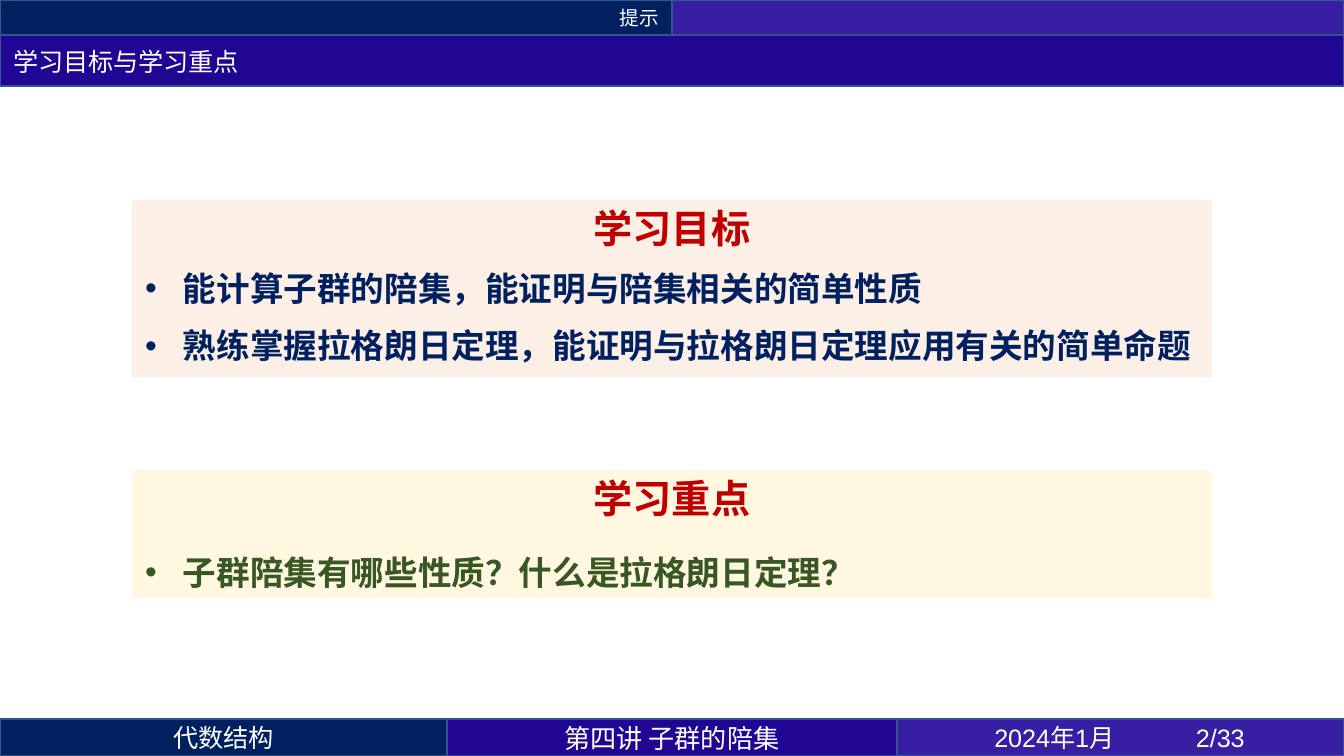
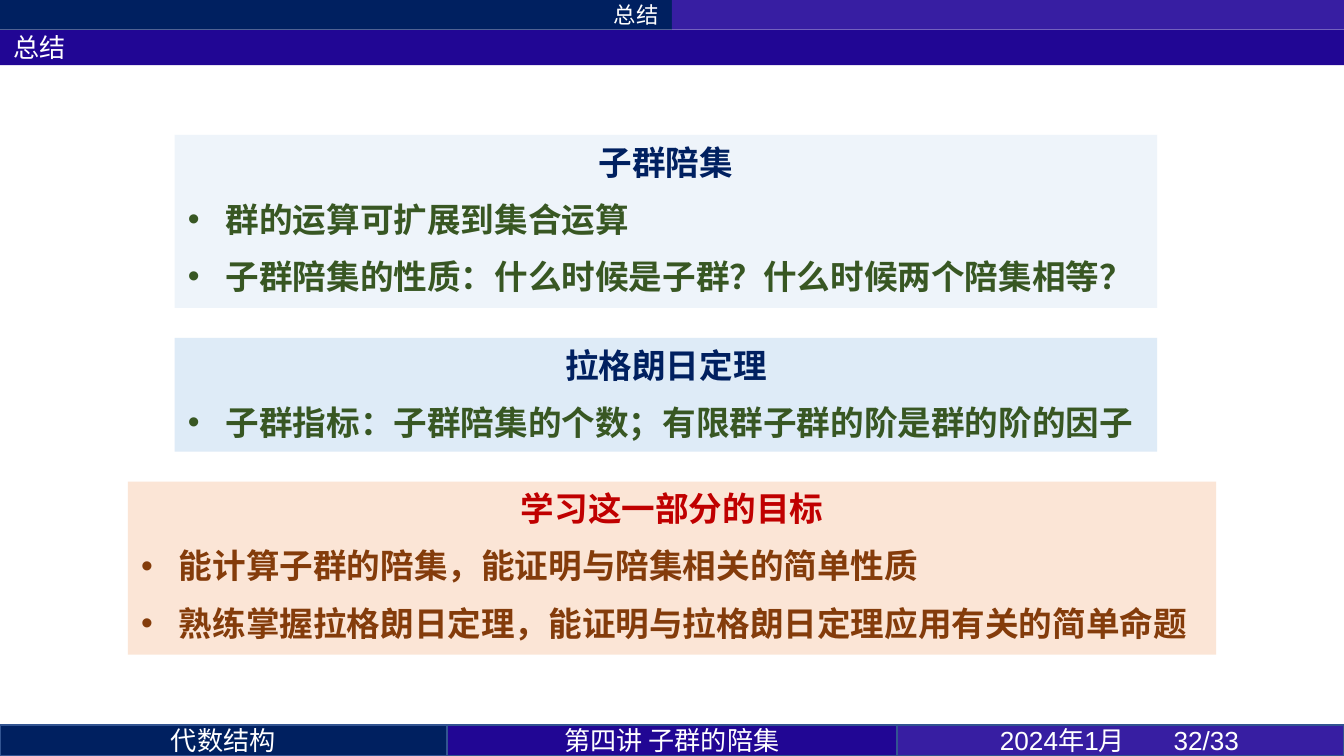
from lxml.etree import SubElement
from pptx import Presentation
from pptx.dml.color import RGBColor
from pptx.enum.shapes import MSO_SHAPE
from pptx.enum.text import MSO_ANCHOR, MSO_AUTO_SIZE, PP_ALIGN
from pptx.oxml.ns import qn
from pptx.util import Pt

WIDTH, HEIGHT = 720, 405
CJK, ARIAL, CALIBRI = "Noto Sans CJK SC", "Arial", "Calibri"
NAVY, INDIGO, VIOLET, EDGE = "002060", "210694", "371EA2", "325491"
WHITE, RED, GREEN, BROWN = "FFFFFF", "C00000", "385723", "843C0B"
PEACH, CREAM, ICE = "FBE5D6", "FFF2CC", "DEEBF7"
FOOTER_EDGES = (0, 239.3, 480.7, WIDTH)
COURSE, LECTURE, DATE = "代数结构", "第四讲 子群的陪集", "2024年1月"
BULLET_INDENT = 20.25

GOALS = [
    "能计算子群的陪集，能证明与陪集相关的简单性质",
    "熟练掌握拉格朗日定理，能证明与拉格朗日定理应用有关的简单命题",
]

SLIDES = [
    {
        "section": "提示", "section_size": 10.5, "section_height": 19,
        "title": "学习目标与学习重点", "title_size": 13.5, "title_height": 27.3,
        "header_edge": EDGE,
        "page": "2/33", "footer_top": 385.3, "footer_size": 13.5,
        "date_left": 52, "page_tab": 108,
        "cards": [
            {"box": (70.7, 107.1, 578.6, 95), "fill": PEACH, "alpha": 60,
             "heading": "学习目标", "heading_font": (CJK, 21, RED),
             "heading_spacing": {"line_spacing": Pt(24), "space_before": Pt(4.5)},
             "points": GOALS, "point_font": (ARIAL, 18, NAVY),
             "point_spacing": {"space_before": Pt(4.5)}},
            {"box": (70.7, 252, 578.6, 68.5), "fill": CREAM, "alpha": 60,
             "heading": "学习重点", "heading_font": (CJK, 21, RED),
             "heading_spacing": {"line_spacing": Pt(24), "space_before": Pt(9)},
             "points": ["子群陪集有哪些性质？什么是拉格朗日定理？"],
             "point_font": (ARIAL, 18, GREEN),
             "point_spacing": {"line_spacing": Pt(24), "space_before": Pt(9)}},
        ],
    },
    {
        "section": "总结", "section_size": 12, "section_height": 16,
        "title": "总结", "title_size": 14, "title_height": 19,
        "header_edge": None,
        "page": "32/33", "footer_top": 388.2, "footer_size": 14,
        "date_left": 55, "page_tab": 93,
        "cards": [
            {"box": (93.6, 72.3, 526.3, 92.7), "fill": ICE, "alpha": 50,
             "heading": "子群陪集", "heading_font": (CALIBRI, 18, NAVY),
             "heading_spacing": {"space_before": Pt(4.5)},
             "points": ["群的运算可扩展到集合运算",
                        "子群陪集的性质：什么时候是子群？什么时候两个陪集相等？"],
             "point_font": (CJK, 18, GREEN),
             "point_spacing": {"space_before": Pt(4.5)}},
            {"box": (93.6, 181, 526.3, 61), "fill": ICE, "alpha": 100,
             "heading": "拉格朗日定理", "heading_font": (CALIBRI, 18, NAVY),
             "heading_spacing": {"space_before": Pt(0)},
             "points": ["子群指标：子群陪集的个数；有限群子群的阶是群的阶的因子"],
             "point_font": (CJK, 18, GREEN),
             "point_spacing": {"space_before": Pt(4.5)}},
            {"box": (68.5, 258, 583, 92.7), "fill": PEACH, "alpha": 100,
             "heading": "学习这一部分的目标", "heading_font": (CALIBRI, 18, RED),
             "heading_spacing": {"space_before": Pt(0)},
             "points": GOALS, "point_font": (CJK, 18, BROWN),
             "point_spacing": {"space_before": Pt(4.5)}},
        ],
    },
]


def rgb(color):
    return RGBColor.from_string(color)


def apply(target, values):
    for name, value in values.items():
        setattr(target, name, value)


def style_box(shape, fill, edge=None, alpha=100):
    shape.shadow.inherit = False
    shape.fill.solid()
    shape.fill.fore_color.rgb = rgb(fill)
    if alpha < 100:
        color = shape.fill._xPr.find(qn("a:solidFill"))[0]
        SubElement(color, qn("a:alpha"), val=str(alpha * 1000))
    if edge:
        shape.line.color.rgb = rgb(edge)
        shape.line.width = Pt(1)
    else:
        shape.line.fill.background()


def add_box(slide, box, fill, edge=None, alpha=100):
    shape = slide.shapes.add_shape(MSO_SHAPE.RECTANGLE, *map(Pt, box))
    style_box(shape, fill, edge, alpha)
    return shape


def write(paragraph, text, font, bold=False, **layout):
    """Add one run; font is (name, size, colour), layout holds paragraph settings."""
    name, size, color = font
    run = paragraph.add_run()
    run.text = text
    apply(run.font, {"name": name, "size": Pt(size), "bold": bold})
    run.font.color.rgb = rgb(color)
    SubElement(run.font._element, qn("a:ea"), typeface=CJK)
    apply(paragraph, layout)


def add_bullet(paragraph):
    properties = paragraph._p.get_or_add_pPr()
    properties.set("marL", str(Pt(BULLET_INDENT)))
    properties.set("indent", str(-Pt(BULLET_INDENT)))
    SubElement(properties, qn("a:buFont"), typeface=ARIAL)
    SubElement(properties, qn("a:buChar"), char="•")


def add_header(slide, content):
    top, edge = content["section_height"], content["header_edge"]
    title = slide.shapes.title
    apply(title, {"left": Pt(0), "top": Pt(top), "width": Pt(WIDTH),
                  "height": Pt(content["title_height"])})
    style_box(title, INDIGO, edge)
    apply(title.text_frame, {"vertical_anchor": MSO_ANCHOR.MIDDLE, "word_wrap": True,
                             "auto_size": MSO_AUTO_SIZE.NONE})
    write(title.text_frame.paragraphs[0], content["title"],
          (CALIBRI, content["title_size"], WHITE), alignment=PP_ALIGN.LEFT)

    section = add_box(slide, (0, 0, WIDTH / 2, top), NAVY, edge)
    write(section.text_frame.paragraphs[0], content["section"],
          (CJK, content["section_size"], WHITE), alignment=PP_ALIGN.RIGHT)
    add_box(slide, (WIDTH / 2, 0, WIDTH / 2, top), VIOLET, edge)


def add_footer(slide, content):
    top, size = content["footer_top"], content["footer_size"]
    cells = [
        (COURSE, NAVY, (CJK, size, WHITE), PP_ALIGN.CENTER),
        (LECTURE, INDIGO, (CJK, 14, WHITE), PP_ALIGN.CENTER),
        (f"{DATE}\t{content['page']}", VIOLET, (ARIAL, size, WHITE), PP_ALIGN.LEFT),
    ]
    for (text, fill, font, align), left, right in zip(cells, FOOTER_EDGES, FOOTER_EDGES[1:]):
        cell = add_box(slide, (left, top, right - left, HEIGHT - top), fill, EDGE)
        write(cell.text_frame.paragraphs[0], text, font, alignment=align)

    # The last cell holds the date and, at a tab stop, the page number.
    cell.text_frame.margin_left = Pt(content["date_left"])
    properties = cell.text_frame.paragraphs[0]._p.get_or_add_pPr()
    stops = SubElement(properties, qn("a:tabLst"))
    SubElement(stops, qn("a:tab"), pos=str(Pt(content["page_tab"])), algn="l")


def add_card(slide, card):
    frame = add_box(slide, card["box"], card["fill"], alpha=card["alpha"]).text_frame
    apply(frame, {"vertical_anchor": MSO_ANCHOR.TOP, "word_wrap": True,
                  "auto_size": MSO_AUTO_SIZE.SHAPE_TO_FIT_TEXT})
    write(frame.paragraphs[0], card["heading"], card["heading_font"], bold=True,
          alignment=PP_ALIGN.CENTER, space_after=Pt(4.5), **card["heading_spacing"])
    for point in card["points"]:
        paragraph = frame.add_paragraph()
        write(paragraph, point, card["point_font"], bold=True,
              alignment=PP_ALIGN.LEFT, space_after=Pt(4.5), **card["point_spacing"])
        add_bullet(paragraph)


def main():
    deck = Presentation()
    apply(deck, {"slide_width": Pt(WIDTH), "slide_height": Pt(HEIGHT)})
    title_only = deck.slide_layouts[5]
    for content in SLIDES:
        slide = deck.slides.add_slide(title_only)
        add_header(slide, content)
        for card in content["cards"]:
            add_card(slide, card)
        add_footer(slide, content)
    deck.save("out.pptx")


if __name__ == "__main__":
    main()
